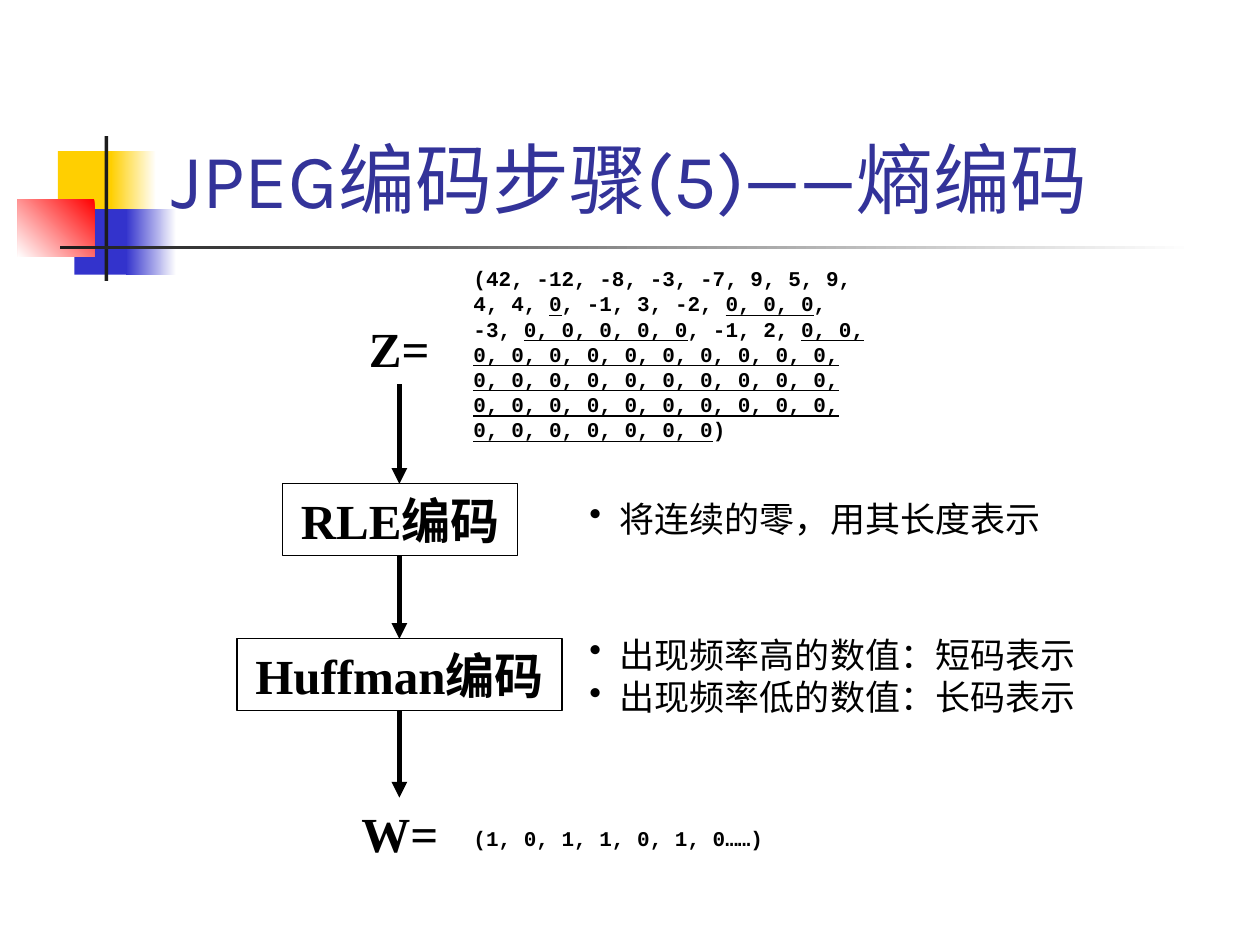
from typing import NamedTuple, Optional

from lxml import etree
from pptx import Presentation
from pptx.dml.color import RGBColor
from pptx.enum.shapes import MSO_CONNECTOR, MSO_SHAPE
from pptx.enum.text import MSO_ANCHOR, MSO_AUTO_SIZE, PP_ALIGN
from pptx.oxml.ns import qn
from pptx.util import Inches, Pt

RECT = MSO_SHAPE.RECTANGLE
STRAIGHT = MSO_CONNECTOR.STRAIGHT
LEFT, CENTER = PP_ALIGN.LEFT, PP_ALIGN.CENTER
BOTTOM = MSO_ANCHOR.BOTTOM
FIT_SHAPE, NO_FIT = MSO_AUTO_SIZE.SHAPE_TO_FIT_TEXT, MSO_AUTO_SIZE.NONE

COLORS = {
    "yellow": "FFCF01", "blue": "3333CC", "red": "FF0000", "dark": "1C1C1C",
    "white": "FFFFFF", "title": "333399", "black": "000000",
}
SERIF, MONO, SANS = "Times New Roman", "Courier New", "Karla"
FLOW_X = 3.17
INDENT = 0.24


class Box(NamedTuple):
    left: float
    top: float
    width: float
    height: float


class Decoration(NamedTuple):
    box: Box
    color: str
    end: Optional[str] = None
    angle: int = 180


class Label(NamedTuple):
    box: Box
    text: str
    framed: bool = False


class Run(NamedTuple):
    text: str
    underline: bool = False


class Sequence(NamedTuple):
    box: Box
    runs: list[Run]


class Notes(NamedTuple):
    box: Box
    lines: list[str]


def zeros(count: int) -> Run:
    return Run(", ".join(["0"] * count), True)


DECORATIONS = [
    Decoration(Box(0.46, 1.2, 0.48, 0.52), "yellow"),
    Decoration(Box(0.88, 1.2, 0.36, 0.52), "white", "yellow"),
    Decoration(Box(0.59, 1.66, 0.46, 0.52), "blue"),
    Decoration(Box(1, 1.66, 0.4, 0.52), "white", "blue"),
    Decoration(Box(0.14, 1.58, 0.61, 0.46), "red", "white", 225),
    Decoration(Box(0.83, 1.08, 0.03, 1.15), "dark"),
    Decoration(Box(0.48, 1.95, 9, 0.03), "white", "dark"),
]
LABELS = [
    Label(Box(2.83, 2.48, 0.68, 0.57), "Z="),
    Label(Box(2.24, 3.84, 1.87, 0.57), "RLE编码", True),
    Label(Box(1.88, 5.07, 2.58, 0.57), "Huffman编码", True),
    Label(Box(2.77, 6.33, 0.81, 0.57), "W="),
]
SEQUENCES = [
    Sequence(Box(3.66, 2.06, 3.33, 1.5), [
        Run("(42, -12, -8, -3, -7, 9, 5, 9, 4, 4, "), zeros(1),
        Run(", -1, 3, -2, "), zeros(3), Run(", -3, "), zeros(5),
        Run(", -1, 2, "), zeros(39), Run(")"),
    ]),
    Sequence(Box(3.66, 6.5, 3.33, 0.3), [Run("(1, 0, 1, 1, 0, 1, 0……)")]),
]
NOTES = [
    Notes(Box(4.58, 3.9, 4.75, 0.44), ["将连续的零，用其长度表示"]),
    Notes(Box(4.58, 4.98, 4.75, 0.77),
          ["出现频率高的数值：短码表示", "出现频率低的数值：长码表示"]),
]


def rgb(name: str) -> RGBColor:
    return RGBColor.from_string(COLORS[name])


def inches(box: Box) -> list:
    return [Inches(v) for v in box]


def style(font, name: str, size: int, color: str = "black", bold: bool = False) -> None:
    font.name, font.size, font.bold = name, Pt(size), bold
    font.color.rgb = rgb(color)


def add_decoration(s, item: Decoration) -> None:
    sp = s.shapes.add_shape(RECT, *inches(item.box))
    sp.shadow.inherit = False
    sp.line.fill.background()
    if item.end is None:
        sp.fill.solid()
        sp.fill.fore_color.rgb = rgb(item.color)
        return
    sp.fill.gradient()
    sp.fill.gradient_angle = item.angle
    for stop, color in zip(sp.fill.gradient_stops, (item.color, item.end)):
        stop.color.rgb = rgb(color)


def add_title(s, text: str) -> None:
    title = s.shapes.title
    title.left, title.top, title.width, title.height = inches(Box(1.26, 0.23, 8.52, 1.6))
    s.shapes.element.append(title.element)  # in front of the decorations
    tf = title.text_frame
    tf.text = text
    tf.auto_size, tf.vertical_anchor = NO_FIT, BOTTOM
    p = tf.paragraphs[0]
    p.alignment = LEFT
    style(p.runs[0].font, SANS, 44, "title")


def add_label(s, label: Label) -> None:
    if label.framed:
        sp = s.shapes.add_shape(RECT, *inches(label.box))
        sp.shadow.inherit = False
        sp.fill.background()
        sp.line.color.rgb = rgb("black")
        sp.line.width = Pt(0.75)
    else:
        sp = s.shapes.add_textbox(*inches(label.box))
    tf = sp.text_frame
    tf.text = label.text
    tf.word_wrap, tf.auto_size = False, FIT_SHAPE
    p = tf.paragraphs[0]
    p.alignment = CENTER if label.framed else LEFT
    style(p.runs[0].font, SERIF, 28, bold=True)


def add_wrapped_box(s, box: Box):
    tf = s.shapes.add_textbox(*inches(box)).text_frame
    tf.word_wrap, tf.auto_size = True, FIT_SHAPE
    return tf


def add_sequence(s, sequence: Sequence) -> None:
    p = add_wrapped_box(s, sequence.box).paragraphs[0]
    for run in sequence.runs:
        r = p.add_run()
        r.text = run.text
        style(r.font, MONO, 12, bold=True)
        r.font.underline = run.underline


def add_notes(s, notes: Notes) -> None:
    tf = add_wrapped_box(s, notes.box)
    tf.text = "\n".join(notes.lines)
    for p in tf.paragraphs:
        pPr = p._p.get_or_add_pPr()
        pPr.set("marL", str(Inches(INDENT)))
        pPr.set("indent", str(-Inches(INDENT)))
        etree.SubElement(pPr, qn("a:buChar"), char="•")
        style(p.runs[0].font, SANS, 20)


def add_arrow(s, top: float, bottom: float) -> None:
    line = s.shapes.add_connector(
        STRAIGHT, Inches(FLOW_X), Inches(top), Inches(FLOW_X), Inches(bottom))
    line.line.color.rgb = rgb("black")
    line.line.width = Pt(3)
    etree.SubElement(line.line._get_or_add_ln(), qn("a:tailEnd"), type="triangle")
    etree.SubElement(line._element.spPr, qn("a:effectLst"))


def main() -> None:
    prs = Presentation()
    prs.slide_width, prs.slide_height = Inches(10), Inches(7.5)
    s = prs.slides.add_slide(prs.slide_layouts[5])
    for item in DECORATIONS:
        add_decoration(s, item)
    add_title(s, "JPEG编码步骤(5)——熵编码")
    for label in LABELS:
        add_label(s, label)
    for upper, lower in zip(LABELS, LABELS[1:]):
        add_arrow(s, upper.box.top + upper.box.height, lower.box.top)
    for sequence in SEQUENCES:
        add_sequence(s, sequence)
    for notes in NOTES:
        add_notes(s, notes)
    prs.save("out.pptx")


if __name__ == "__main__":
    main()
